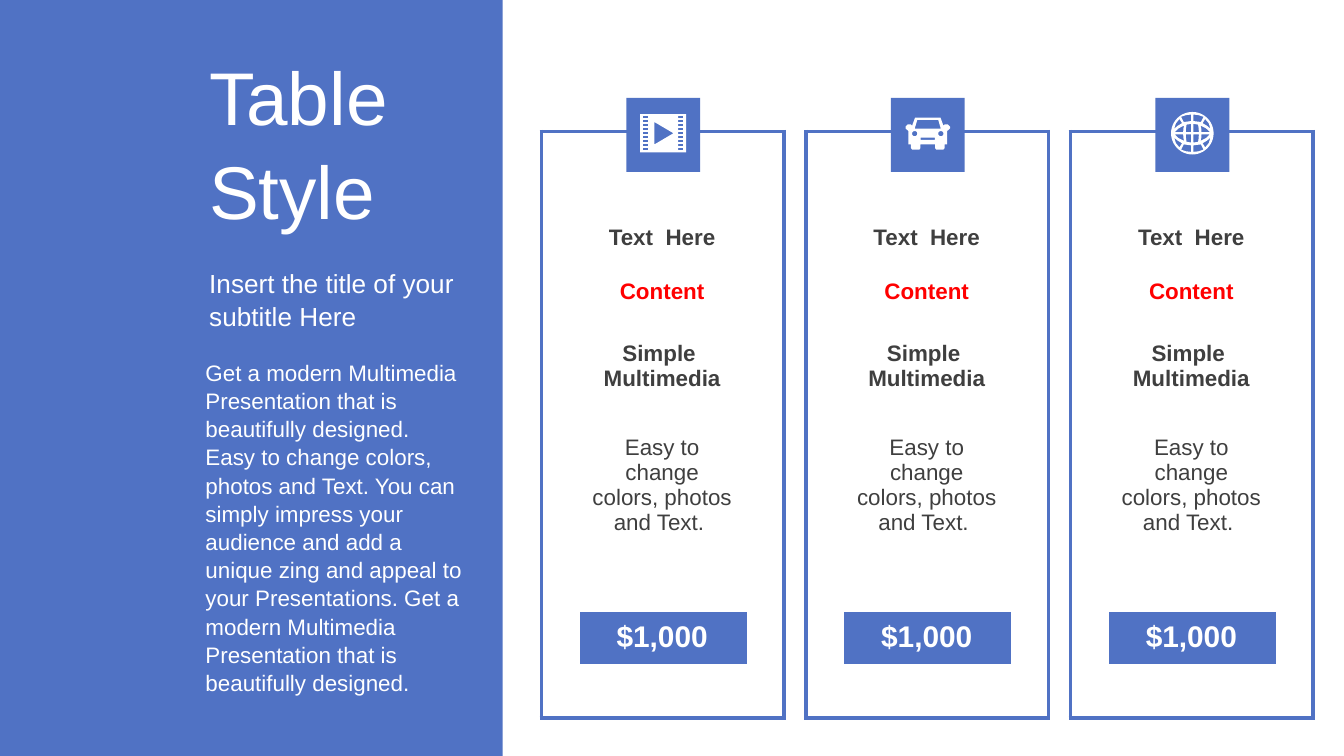
from math import cos, pi, sin

from lxml.etree import SubElement
from pptx import Presentation
from pptx.dml.color import RGBColor
from pptx.enum.shapes import MSO_SHAPE as Preset
from pptx.enum.text import MSO_ANCHOR as Anchor, PP_ALIGN as Align
from pptx.oxml.ns import qn
from pptx.util import Pt

BLUE = RGBColor(0x50, 0x72, 0xC4)
WHITE = RGBColor(0xFF, 0xFF, 0xFF)
GRAY = RGBColor(0x3F, 0x3F, 0x3F)
RED = RGBColor(0xFF, 0x00, 0x00)
FONT = "Arial"

COLUMNS = [19.5, 90.5, 20]
ROWS = [42.5, 28, 28, 51, 76.5, 20, 25, 20]
PRICE_ROW = 6
CARD_LEFT, CARD_TOP, CARD_STEP = 290, 70.5, 141.75
TILE_SIZE, TILE_TOP, TILE_OFFSET = 39.6, 52.5, 45.5


def add_run(paragraph, text, size, color, bold=False):
    run = paragraph.add_run()
    run.text = text
    run.font.name = FONT
    run.font.size = Pt(size)
    run.font.bold = bold
    run.font.color.rgb = color


def circle(x, y, radius, steps=48):
    """Return the corners of a polygon that stands for a circle."""
    angles = [2 * pi * i / steps for i in range(steps)]
    return [(x + radius * cos(a), y + radius * sin(a)) for a in angles]


prs = Presentation()
prs.slide_width, prs.slide_height = Pt(720), Pt(405)
slide = prs.slides.add_slide(prs.slide_layouts[6])
shapes = slide.shapes

# Blue side panel with its three texts
panel = shapes.add_shape(Preset.RECTANGLE, 0, 0, Pt(269.3), Pt(405))
panel.shadow.inherit = False
panel.fill.solid()
panel.fill.fore_color.rgb = BLUE
panel.line.fill.background()

description = (
    "Get a modern Multimedia  Presentation that is beautifully designed.  "
    "Easy to change colors, photos and Text. You can simply impress your "
    "audience and add a unique zing and appeal to your Presentations. "
    "Get a modern Multimedia  Presentation that is beautifully designed."
)
panel_texts = [
    ("Table Style", 40, Anchor.MIDDLE, (105, 10, 158.5, 130.5)),
    ("Insert the title of your subtitle Here", 14, Anchor.MIDDLE, (105, 140.5, 153.5, 39.5)),
    (description, 12, Anchor.TOP, (103, 188, 155, 181.5)),
]
for text, size, anchor, place in panel_texts:
    frame = shapes.add_textbox(*map(Pt, place)).text_frame
    frame.word_wrap = True
    frame.vertical_anchor = anchor
    frame.paragraphs[0].line_spacing = 1.05
    add_run(frame.paragraphs[0], text, size, WHITE)

# Icon contours in points, measured from the centre of the tile
film = [[(-12.3, -10.3), (12.3, -10.3), (12.3, 10.3), (-12.3, 10.3)],
        [(-4.7, -6), (-4.7, 6), (5.5, 0)]]
for hole in range(9):
    top = -9.3 + 2.15 * hole
    for left in (-10.8, 8):
        film.append([(left, top), (left + 2.7, top),
                     (left + 2.7, top + 1.2), (left, top + 1.2)])

car_side = [(6.8, -8.4), (8.4, -4), (9.2, -4.8), (10.6, -4.8), (11.9, -3.6),
            (11.9, -2.6), (10.4, -1.2), (10.4, 6), (9, 6), (9, 8), (8.3, 8.8),
            (4.6, 8.8), (3.9, 8), (3.9, 6)]
windscreen = [(5.6, -7.2), (7, -2.4), (-7, -2.4), (-5.6, -7.2)]
grille = [(-3.8, 2.3), (3.8, 2.3), (3.8, 3.6), (-3.8, 3.6)]
car = [car_side + [(-x, y) for x, y in reversed(car_side)], windscreen, grille,
       circle(-7, 0.2, 1.4), circle(7, 0.2, 1.4)]

globe_quarter = [
    [(0.6, 9.4), (0.6, 4.9), (2.4, 4.8), (4.1, 4.4), (2.6, 7.4)],
    [(0.6, 3.5), (0.6, 0.6), (5, 0.6), (4.6, 3.1), (2.6, 3.4)],
    [(8.8, 6), (6, 4.6), (6.5, 0.6), (10, 0.6), (9.7, 3.3)],
    [(2.4, 9.7), (4, 7.8), (5.4, 5.5), (7.6, 6.9), (5.3, 8.8)],
]
globe = [circle(0, 0, 11.4)]
for flip_x in (1, -1):
    for flip_y in (1, -1):
        for cell_outline in globe_quarter:
            globe.append([(flip_x * y, flip_y * x) for x, y in cell_outline])

# Three price cards: table, tile and icon
card_texts = {
    1: ("Text  Here", 12, GRAY, True),
    2: ("Content", 12, RED, True),
    3: ("Simple  Multimedia", 12, GRAY, True),
    4: ("Easy to change colors, photos and Text. ", 12, GRAY, False),
    PRICE_ROW: ("$1,000", 16, WHITE, True),
}
last_row, last_column = len(ROWS) - 1, len(COLUMNS) - 1

for card, icon in enumerate([film, car, globe]):
    card_left = CARD_LEFT + card * CARD_STEP
    table = shapes.add_table(len(ROWS), len(COLUMNS), Pt(card_left), Pt(CARD_TOP),
                             Pt(sum(COLUMNS)), Pt(sum(ROWS))).table
    table.first_row = table.horz_banding = False
    for column, width in zip(table.columns, COLUMNS):
        column.width = Pt(width)
    for row, height in zip(table.rows, ROWS):
        row.height = Pt(height)

    for r in range(len(ROWS)):
        for c in range(len(COLUMNS)):
            cell = table.cell(r, c)
            is_price = (r, c) == (PRICE_ROW, 1)
            outer_edges = {"a:lnL": c == 0, "a:lnR": c == last_column,
                           "a:lnT": r == 0, "a:lnB": r == last_row}
            for edge, is_outer in outer_edges.items():
                border = SubElement(cell._tc.get_or_add_tcPr(), qn(edge), w=str(Pt(2.25)))
                if is_outer or is_price:
                    paint = SubElement(border, qn("a:solidFill"))
                    SubElement(paint, qn("a:srgbClr"), val=str(BLUE if is_outer else WHITE))
                else:
                    SubElement(border, qn("a:noFill"))
            cell.fill.solid()
            cell.fill.fore_color.rgb = BLUE if is_price else WHITE
            cell.vertical_anchor = Anchor.MIDDLE
            if c == 1 and r in card_texts:
                paragraph = cell.text_frame.paragraphs[0]
                paragraph.alignment = Align.CENTER
                add_run(paragraph, *card_texts[r])

    tile_left = card_left + TILE_OFFSET
    tile = shapes.add_shape(Preset.RECTANGLE, Pt(tile_left), Pt(TILE_TOP),
                            Pt(TILE_SIZE), Pt(TILE_SIZE))
    center_x, center_y = tile_left + TILE_SIZE / 2, TILE_TOP + TILE_SIZE / 2 - 0.9

    contours = [[(Pt(center_x + x), Pt(center_y + y)) for x, y in contour]
                for contour in icon]
    builder = shapes.build_freeform(*contours[0][0])
    builder.add_line_segments(contours[0][1:])
    for contour in contours[1:]:
        builder.move_to(*contour[0])
        builder.add_line_segments(contour[1:])
    symbol = builder.convert_to_shape()

    for part, color in ((tile, BLUE), (symbol, WHITE)):
        part.shadow.inherit = False
        part.fill.solid()
        part.fill.fore_color.rgb = color
        part.line.fill.background()

prs.save("out.pptx")
